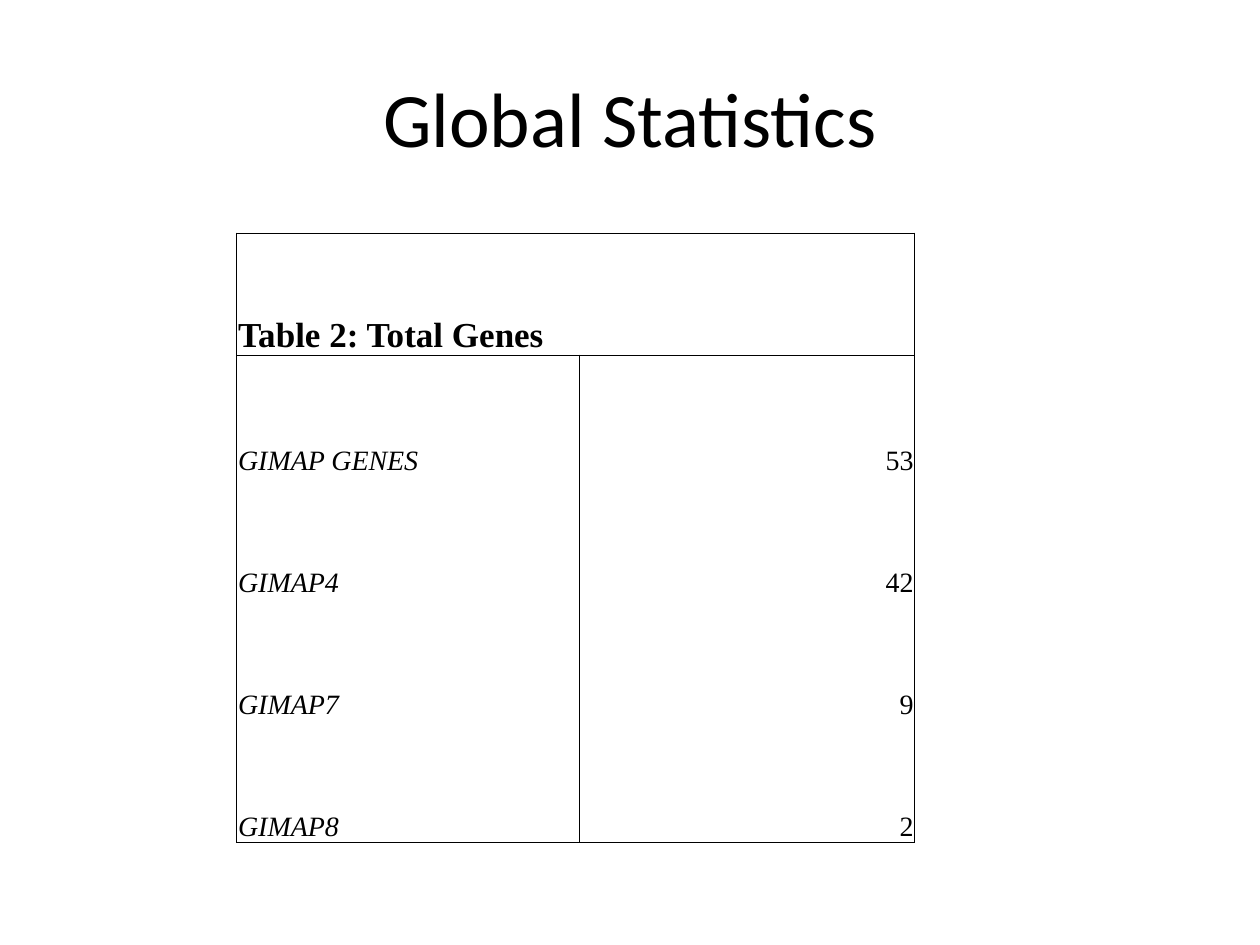
from lxml import etree
from pptx import Presentation
from pptx.dml.color import RGBColor
from pptx.enum.text import MSO_ANCHOR, PP_ALIGN
from pptx.oxml.ns import qn
from pptx.util import Inches, Pt

LEFT, CENTER, RIGHT = PP_ALIGN.LEFT, PP_ALIGN.CENTER, PP_ALIGN.RIGHT
MIDDLE, BOTTOM = MSO_ANCHOR.MIDDLE, MSO_ANCHOR.BOTTOM
WIDTH, HEIGHT = 10, 7.5
BLACK = "000000"
TITLE_BOX = (0.05 * WIDTH, 0.04 * HEIGHT, 0.9 * WIDTH, HEIGHT / 6)
TABLE_BOX = (1.88, 1.85, 5.38, 4.84)
COLUMN_SHARES = (0.506, 0.494)
TITLE_FORMAT = {"name": "Calibri", "size": Pt(44)}
HEADING_FORMAT = {"name": "Times New Roman", "size": Pt(20), "bold": True}
GENE_FORMAT = {"name": "Times New Roman", "size": Pt(16), "bold": False, "italic": True}
COUNT_FORMAT = {**GENE_FORMAT, "italic": False}
CELL_FORMAT = {
    "vertical_anchor": BOTTOM,
    "margin_left": Inches(0.01),
    "margin_right": Inches(0.01),
    "margin_top": Inches(0.01),
    "margin_bottom": 0,
}
HEADING = "Table 2: Total Genes"
GENE_COUNTS = [("GIMAP GENES", 53), ("GIMAP4", 42), ("GIMAP7", 9), ("GIMAP8", 2)]


def color(hex_value):
    """Turn a hex string into a colour."""
    return RGBColor.from_string(hex_value)


def write_text(paragraph, text, font_format, alignment):
    """Write one formatted run into a paragraph."""
    paragraph.alignment = alignment
    run = paragraph.add_run()
    run.text = text
    for name, value in font_format.items():
        setattr(run.font, name, value)
    run.font.color.rgb = color(BLACK)


def set_borders(cell, drawn_sides):
    """Draw thin lines on the named sides (L, R, T, B) and clear the others."""
    properties = cell._tc.get_or_add_tcPr()
    for side in "LRTB":
        line = etree.SubElement(properties, qn(f"a:ln{side}"), w=str(Pt(0.5)))
        if side in drawn_sides:
            fill = etree.SubElement(line, qn("a:solidFill"))
            etree.SubElement(fill, qn("a:srgbClr"), val=BLACK)
        else:
            etree.SubElement(line, qn("a:noFill"))


def format_cell(cell, drawn_sides):
    """Apply the shared cell layout, borders and empty fill."""
    for name, value in CELL_FORMAT.items():
        setattr(cell, name, value)
    set_borders(cell, drawn_sides)
    cell.fill.background()


def add_title(slide, box, text):
    """Place the centred slide title in its box."""
    frame = slide.shapes.add_textbox(*map(Inches, box)).text_frame
    frame.word_wrap = True
    frame.vertical_anchor = MIDDLE
    write_text(frame.paragraphs[0], text, TITLE_FORMAT, CENTER)


def add_gene_table(slide, box, heading, gene_counts):
    """Place the heading row and the gene counts in the table box."""
    row_count = len(gene_counts) + 1
    table = slide.shapes.add_table(row_count, 2, *map(Inches, box)).table
    table.first_row = table.horz_banding = False
    for column, share in zip(table.columns, COLUMN_SHARES):
        column.width = Inches(box[2] * share)
    for row in table.rows:
        row.height = Inches(box[3] / row_count)

    write_text(table.cell(0, 0).text_frame.paragraphs[0], heading, HEADING_FORMAT, LEFT)
    format_cell(table.cell(0, 0), "LTB")
    format_cell(table.cell(0, 1), "RTB")
    for row_index, (gene, count) in enumerate(gene_counts, start=1):
        sides = "LR"
        if row_index == 1:
            sides += "T"
        if row_index == row_count - 1:
            sides += "B"
        entries = [(gene, GENE_FORMAT, LEFT), (str(count), COUNT_FORMAT, RIGHT)]
        for column_index, entry in enumerate(entries):
            cell = table.cell(row_index, column_index)
            write_text(cell.text_frame.paragraphs[0], *entry)
            format_cell(cell, sides)


def main():
    """Build and save the statistics slide."""
    presentation = Presentation()
    presentation.slide_width, presentation.slide_height = Inches(WIDTH), Inches(HEIGHT)
    slide = presentation.slides.add_slide(presentation.slide_layouts[6])
    add_title(slide, TITLE_BOX, "Global Statistics")
    add_gene_table(slide, TABLE_BOX, HEADING, GENE_COUNTS)
    presentation.save("out.pptx")


if __name__ == "__main__":
    main()
